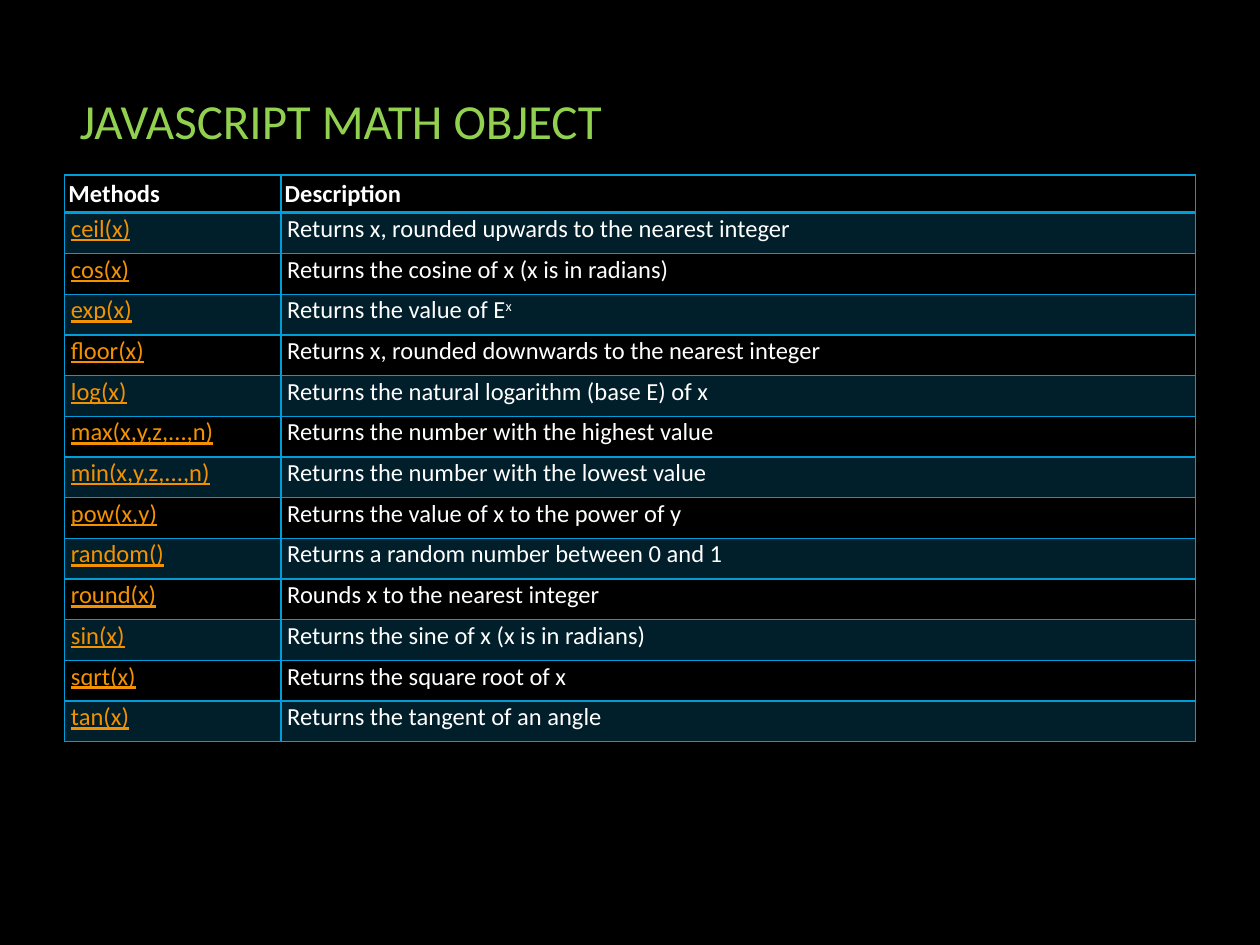
import pptx
import pptx.util
import pptx.dml.color
import pptx.enum.text
import pptx.oxml
import pptx.oxml.ns
import lxml.etree

Cm, Pt = pptx.util.Cm, pptx.util.Pt
FONT = "Calibri"
BLACK, WHITE, GREEN = "000000", "FFFFFF", "92D050"
BLUE, GOLD = "009DD9", "F49100"

# A caret marks the start of a superscript
ROWS = [
    ("Methods", "Description"),
    ("ceil(x)", "Returns x, rounded upwards to the nearest integer"),
    ("cos(x)", "Returns the cosine of x (x is in radians)"),
    ("exp(x)", "Returns the value of E^x"),
    ("floor(x)", "Returns x, rounded downwards to the nearest integer"),
    ("log(x)", "Returns the natural logarithm (base E) of x"),
    ("max(x,y,z,...,n)", "Returns the number with the highest value"),
    ("min(x,y,z,...,n)", "Returns the number with the lowest value"),
    ("pow(x,y)", "Returns the value of x to the power of y"),
    ("random()", "Returns a random number between 0 and 1"),
    ("round(x)", "Rounds x to the nearest integer"),
    ("sin(x)", "Returns the sine of x (x is in radians)"),
    ("sqrt(x)", "Returns the square root of x"),
    ("tan(x)", "Returns the tangent of an angle"),
]


def color(code):
    return pptx.dml.color.RGBColor.from_string(code)


def style(para, size, code, bold=False, line=False):
    para.alignment = pptx.enum.text.PP_ALIGN.LEFT
    for run in para.runs:
        font = run.font
        font.name, font.size = FONT, Pt(size)
        font.bold, font.underline = bold, line
        font.color.rgb = color(code)


def add_title(slide, text):
    title = slide.shapes.title
    title.left, title.top = Cm(1.35), Cm(1.52)
    title.width, title.height = Cm(22.73), Cm(1.8)
    frame = title.text_frame
    frame.text = text
    frame.vertical_anchor = pptx.enum.text.MSO_ANCHOR.MIDDLE
    style(frame.paragraphs[0], 28, GREEN)


def tint(cell, code, alpha):
    cell.fill.solid()
    cell.fill.fore_color.rgb = color(code)
    tone = cell._tc.tcPr.find(".//" + pptx.oxml.ns.qn("a:srgbClr"))
    mark = lxml.etree.SubElement(tone, pptx.oxml.ns.qn("a:alpha"))
    mark.set("val", str(alpha * 1000))


def add_edges(cell, top, low):
    # Borders must come before the fill in the cell properties
    props = cell._tc.get_or_add_tcPr()
    for spot, (side, width) in enumerate(zip("LRTB", (1, 1, top, low))):
        props.insert(spot, pptx.oxml.parse_xml(
            f'<a:ln{side} {pptx.oxml.ns.nsdecls("a")} w="{Pt(width)}">'
            f'<a:solidFill><a:srgbClr val="{BLUE}"/></a:solidFill>'
            f'</a:ln{side}>'))


def fill_cell(cell, text, row, col):
    head = row == 0
    side, edge = (0.08, 0.08) if head else (0.13, 0.18)
    cell.margin_left = cell.margin_right = Cm(side)
    cell.margin_top = cell.margin_bottom = Cm(edge)

    # Text, with an optional superscript
    base, _, power = text.partition("^")
    cell.text_frame.text = base
    para = cell.text_frame.paragraphs[0]
    if power:
        run = para.add_run()
        run.text = power
        run._r.get_or_add_rPr().set("baseline", "30000")
    link = col == 0 and not head
    style(para, 14, GOLD if link else WHITE, head, link)
    if not head:
        para.line_spacing = Pt(12.7)

    # Every second row is tinted; a thick rule lies under the header
    if row % 2:
        tint(cell, BLUE, 20)
    else:
        cell.fill.background()
    add_edges(cell, 2 if row == 1 else 1, 2 if head else 1)


def add_grid(slide):
    widths = Cm(4.36), Cm(18.44)
    high, tall = Cm(0.64), Cm(0.82)
    count = len(ROWS)
    table = slide.shapes.add_table(
        count, len(widths), Cm(1.3), Cm(3.53),
        sum(widths), high + tall * (count - 1)).table
    table.horz_banding = False
    for col, width in enumerate(widths):
        table.columns[col].width = width
    for row, texts in enumerate(ROWS):
        table.rows[row].height = tall if row else high
        for col, text in enumerate(texts):
            fill_cell(table.cell(row, col), text, row, col)


def main():
    deck = pptx.Presentation()
    deck.slide_width, deck.slide_height = Cm(25.4), Cm(19.05)
    slide = deck.slides.add_slide(deck.slide_layouts[5])
    slide.background.fill.solid()
    slide.background.fill.fore_color.rgb = color(BLACK)
    add_title(slide, "JAVASCRIPT MATH OBJECT")
    add_grid(slide)
    deck.save("out.pptx")


if __name__ == "__main__":
    main()
